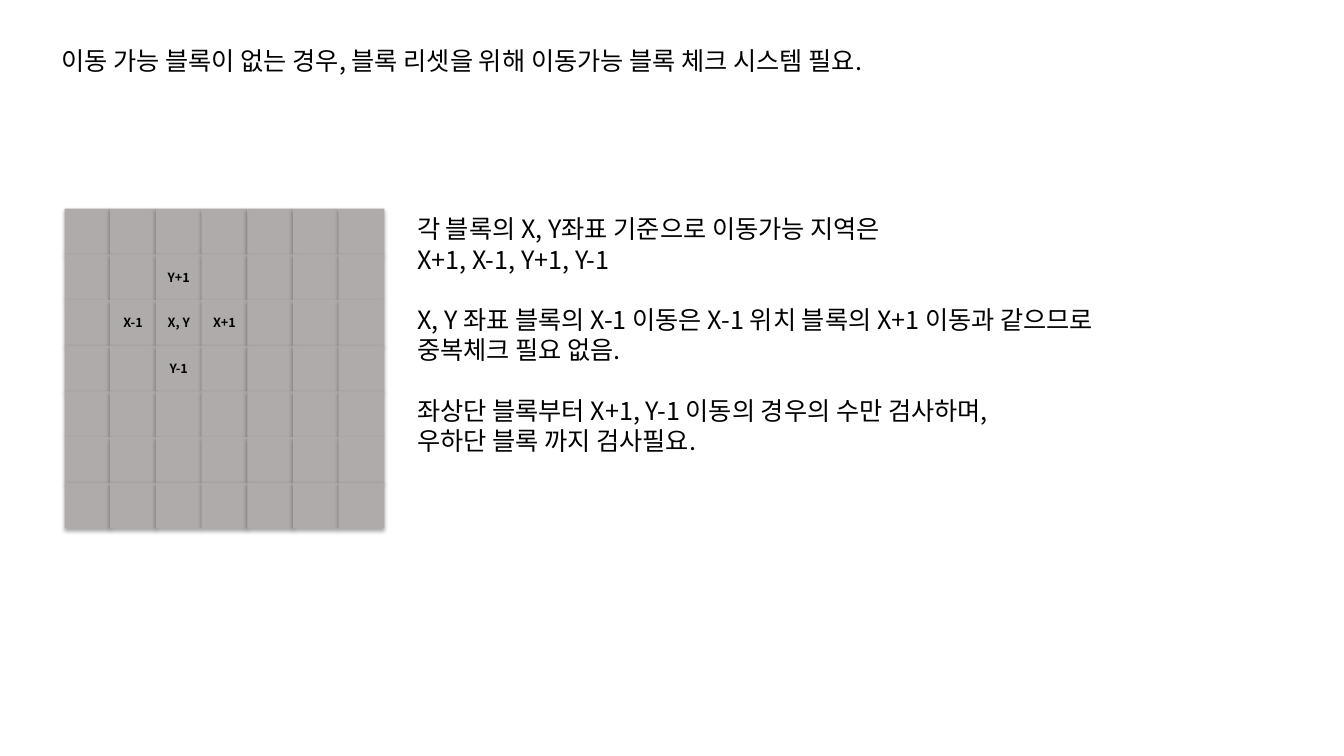
from lxml import etree
from pptx import Presentation
from pptx.dml.color import RGBColor
from pptx.enum.shapes import MSO_SHAPE
from pptx.enum.text import MSO_ANCHOR, PP_ALIGN
from pptx.oxml.ns import qn
from pptx.util import Inches, Pt

RECTANGLE = MSO_SHAPE.RECTANGLE
MIDDLE, TOP = MSO_ANCHOR.MIDDLE, MSO_ANCHOR.TOP
CENTER, LEFT = PP_ALIGN.CENTER, PP_ALIGN.LEFT

COLORS = {"text": "000000", "block": "AFABAB", "shadow": "000000"}
FONT = "Noto Sans CJK KR"
LINE_PITCH = 21.6
WIDTH, HEIGHT = Inches(13.33), Inches(7.5)

# Boxes are left, top, width, height in percent of the slide.
HEADING_BOX = (3.83, 5.33, 93.02, 5.33)
BOARD_BOX = (4.8, 27.6, 23.8, 42.3)
RULES_BOX = (30.3, 27.6, 59.86, 41.73)

HEADING = "이동 가능 블록이 없는 경우, 블록 리셋을 위해 이동가능 블록 체크 시스템 필요."
RULES = [
    ["각 블록의 X, Y좌표 기준으로 이동가능 지역은", "X+1, X-1, Y+1, Y-1"],
    ["X, Y 좌표 블록의 X-1 이동은 X-1 위치 블록의 X+1 이동과 같으므로 중복체크 필요 없음."],
    ["좌상단 블록부터 X+1, Y-1 이동의 경우의 수만 검사하며, ", "우하단 블록 까지 검사필요."],
]
BOARD_SIZE = 7
BLOCK_LABELS = {(1, 2): "Y+1", (2, 1): "X-1", (2, 2): "X, Y", (2, 3): "X+1", (3, 2): "Y-1"}


def to_lengths(box):
    """Turn a box in percent of the slide into slide lengths."""
    left, top, width, height = box
    return (int(WIDTH * left / 100), int(HEIGHT * top / 100),
            int(WIDTH * width / 100), int(HEIGHT * height / 100))


def write_text(paragraph, text, size=18, bold=False, align=LEFT, pitch=None, before=0):
    """Put formatted text into a paragraph."""
    paragraph.alignment = align
    paragraph.space_before = Pt(before)
    if pitch:
        paragraph.line_spacing = Pt(pitch)
    run = paragraph.add_run()
    run.text = text
    run.font.size = Pt(size)
    run.font.bold = bold
    run.font.name = FONT
    run.font.color.rgb = RGBColor.from_string(COLORS["text"])
    east_asian = etree.SubElement(run.font._element, qn("a:ea"))
    east_asian.set("typeface", FONT)


def add_text_frame(slide, box):
    """Add a wrapping text box and return its text frame."""
    frame = slide.shapes.add_textbox(*to_lengths(box)).text_frame
    frame.word_wrap = True
    frame.vertical_anchor = TOP
    return frame


def add_shadow(shape):
    """Give a shape a soft shadow that falls straight down."""
    shape.shadow.inherit = False
    effects = shape._element.spPr.find(qn("a:effectLst"))
    shadow = etree.SubElement(effects, qn("a:outerShdw"), blurRad=str(Pt(3.1)),
                              dist=str(Pt(1.8)), dir="5400000", rotWithShape="0")
    color = etree.SubElement(shadow, qn("a:srgbClr"), val=COLORS["shadow"])
    etree.SubElement(color, qn("a:alpha"), val="35000")


def add_heading(slide, box):
    """Add the one-line heading."""
    write_text(add_text_frame(slide, box).paragraphs[0], HEADING, pitch=LINE_PITCH)


def add_block(slide, box, label):
    """Add one board block, with its coordinate label if it has one."""
    block = slide.shapes.add_shape(RECTANGLE, *to_lengths(box))
    block.fill.solid()
    block.fill.fore_color.rgb = RGBColor.from_string(COLORS["block"])
    block.line.fill.background()
    add_shadow(block)
    if label:
        frame = block.text_frame
        frame.margin_left = frame.margin_right = 0
        frame.vertical_anchor = MIDDLE
        write_text(frame.paragraphs[0], label, size=9, bold=True, align=CENTER)


def add_board(slide, box):
    """Fill a box with the square board of blocks."""
    left, top, width, height = box
    block_width, block_height = width / BOARD_SIZE, height / BOARD_SIZE
    for row in range(BOARD_SIZE):
        for column in range(BOARD_SIZE):
            block_box = (left + column * block_width, top + row * block_height,
                         block_width, block_height)
            add_block(slide, block_box, BLOCK_LABELS.get((row, column)))


def add_rules(slide, box):
    """Add the groups of rules, one line apart."""
    frame = add_text_frame(slide, box)
    frame.margin_right = Inches(0.4)
    paragraph = frame.paragraphs[0]
    for group_index, group in enumerate(RULES):
        for line_index, line in enumerate(group):
            starts_group = line_index == 0 and group_index > 0
            if group_index or line_index:
                paragraph = frame.add_paragraph()
            write_text(paragraph, line, pitch=LINE_PITCH,
                       before=LINE_PITCH if starts_group else 0)


def build_presentation():
    """Build the slide and save it."""
    presentation = Presentation()
    presentation.slide_width, presentation.slide_height = WIDTH, HEIGHT
    slide = presentation.slides.add_slide(presentation.slide_layouts[6])
    add_heading(slide, HEADING_BOX)
    add_board(slide, BOARD_BOX)
    add_rules(slide, RULES_BOX)
    presentation.save("out.pptx")


build_presentation()
